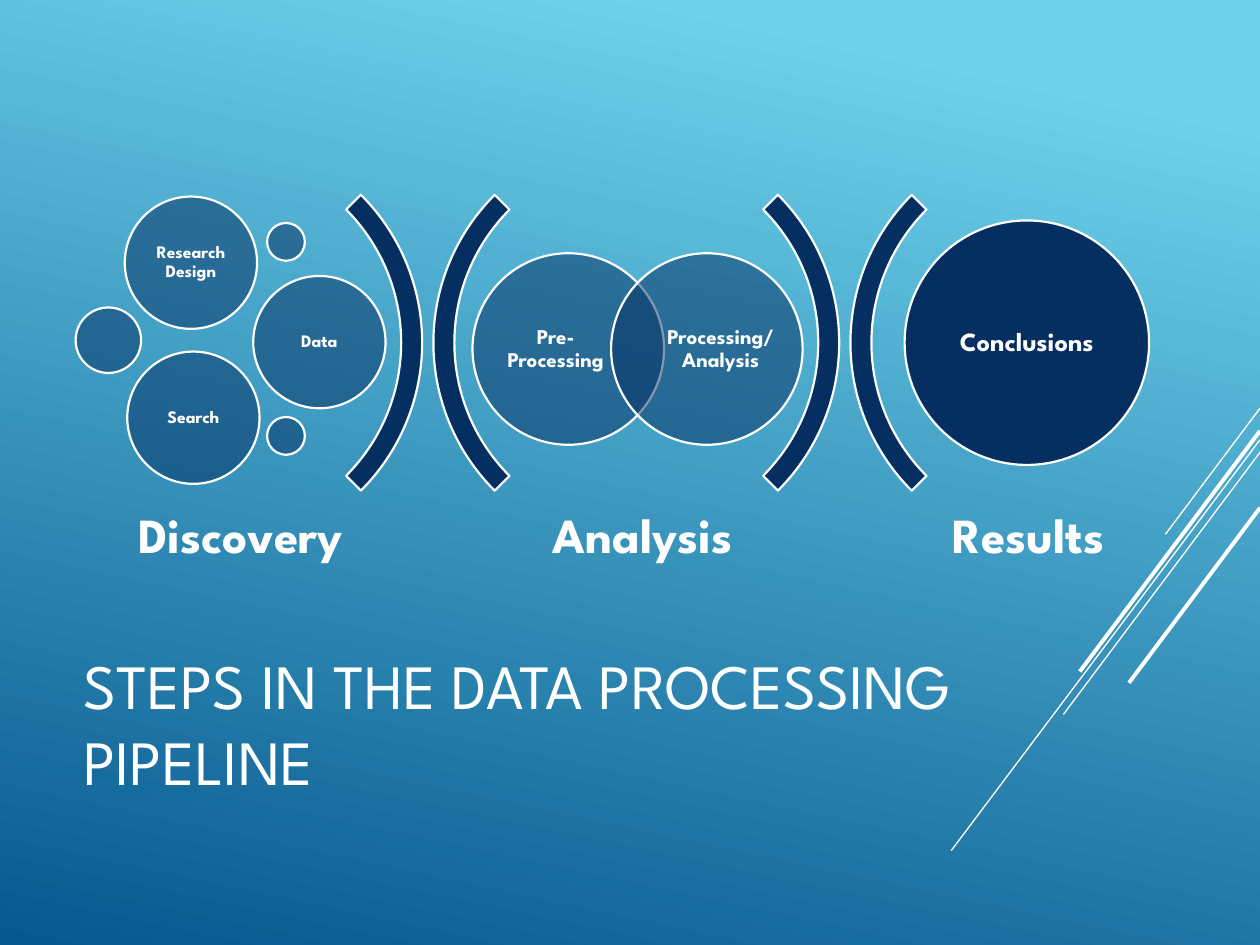
from pptx import Presentation, util as u
from pptx.dml.color import RGBColor
from pptx.enum import shapes, text
from pptx.oxml.ns import qn
from lxml import etree

FONT, WHITE, NAVY = "League Spartan", "FFFFFF", "052F61"
TITLE = "STEPS IN THE DATA PROCESSING PIPELINE"

# Stages: name, centre x
STAGES = [("Discovery", 1.91), ("Analysis", 5.1), ("Results", 8.16)]
STAGE_Y, STAGE_W, STAGE_H = 4.27, 2.52, 0.66

# Brackets: left edge, rotation
ARCS = [(0.03, 90), (3.44, 270), (3.34, 90), (6.75, 270)]
ARC_TOP, ARC_SIZE = 1.06, 3.32

# Circles: left, top, diameter, opacity %, label
# Label: words, size, centre shift x, box width, box height, inset
STEP = (10, 0, 0.74, 0.74, 0.04)
CIRCLES = [
    (3.75, 2.01, 1.52, 50, ("Pre-Processing", 12, -0.1, 0.88, 1.16, 0)),
    (4.85, 2.01, 1.52, 50, ("Processing/Analysis", 12, 0.11, 0.88, 1.16, 0)),
    (0.99, 1.56, 1.05, 50, ("Research Design", *STEP)),
    (0.6, 2.44, 0.52, 50, None),
    (2.12, 1.77, 0.3, 50, None),
    (2.01, 2.19, 1.05, 50, ("Data", *STEP)),
    (2.12, 3.31, 0.3, 50, None),
    (1.01, 2.79, 1.05, 50, ("Search", *STEP)),
    (7.18, 1.75, 1.94, 100, ("Conclusions", 15, 0, 1.37, 1.37, 0.06)),
]

# Corner rays, all from the right edge: start y, end x, end y, width
RAYS = [(3.24, 9.25, 4.24, 0.75), (3.49, 7.55, 6.75, 0.75),
        (3.59, 8.44, 5.67, 0.75), (3.42, 8.57, 5.33, 2.25),
        (4.03, 8.96, 5.42, 2.25)]

prs = Presentation()
prs.slide_width, prs.slide_height = u.Inches(10), u.Inches(7.5)
slide = prs.slides.add_slide(prs.slide_layouts[5])


def rgb(code):
    return RGBColor.from_string(code)


def inch(*nums):
    return [u.Inches(n) for n in nums]


def write(frame, words, size, align, bold, inset, space):
    frame.word_wrap = True
    frame.auto_size = text.MSO_AUTO_SIZE.NONE
    frame.vertical_anchor = text.MSO_ANCHOR.MIDDLE
    (frame.margin_left, frame.margin_top,
     frame.margin_right, frame.margin_bottom) = inch(*inset)
    par = frame.paragraphs[0]
    par.text, par.alignment, par.line_spacing = words, align, space
    font = par.font
    font.name, font.size, font.bold = FONT, u.Pt(size), bold
    font.color.rgb = rgb(WHITE)


def label(words, size, mid_x, mid_y, wide, high, inset):
    box = slide.shapes.add_textbox(
        *inch(mid_x - wide / 2, mid_y - high / 2, wide, high))
    write(box.text_frame, words, size, text.PP_ALIGN.CENTER, True,
          [inset] * 4, 0.9)


def solid(kind, left, top, size, alpha=100):
    shape = slide.shapes.add_shape(kind, *inch(left, top, size, size))
    shape.shadow.inherit = False
    shape.fill.solid()
    shape.fill.fore_color.rgb = rgb(NAVY)
    if alpha < 100:
        tint = shape.fill._xPr.find(".//" + qn("a:srgbClr"))
        etree.SubElement(tint, qn("a:alpha"), val=str(alpha * 1000))
    shape.line.color.rgb = rgb(WHITE)
    shape.line.width = u.Pt(1.25)
    return shape


# Background
back = slide.background.fill
back.gradient()
back.gradient_angle = 360 - 102
for stop, (pos, code) in zip(back.gradient_stops,
                             [(0.1, "6ED2EB"), (1, "06588E")]):
    stop.position, stop.color.rgb = pos, rgb(code)

# Corner rays
for y1, x2, y2, width in RAYS:
    ray = slide.shapes.add_connector(shapes.MSO_CONNECTOR.STRAIGHT,
                                     *inch(10, y1, x2, y2))
    ray.line.color.rgb = rgb(WHITE)
    ray.line.width = u.Pt(width)
    etree.SubElement(ray._element.spPr, qn("a:effectLst"))

# Title
title = slide.shapes.title
title.left, title.top, title.width, title.height = inch(0.56, 4.91, 7.52, 1.65)
write(title.text_frame, TITLE, 36, text.PP_ALIGN.LEFT, False,
      [0.1, 0.05, 0.1, 0.05], 1.0)

# Brackets and stage names
for left, turn in ARCS:
    arc = solid(shapes.MSO_SHAPE.BLOCK_ARC, left, ARC_TOP, ARC_SIZE)
    arc.rotation = turn
    for i, value in enumerate((135, 189, 0.05)):
        arc.adjustments[i] = value
for name, mid in STAGES:
    label(name, 28, mid, STAGE_Y, STAGE_W, STAGE_H, 0.12)

# Circles with their labels
for left, top, size, alpha, note in CIRCLES:
    solid(shapes.MSO_SHAPE.OVAL, left, top, size, alpha)
    if note:
        words, points, shift, wide, high, inset = note
        label(words, points, left + size / 2 + shift, top + size / 2,
              wide, high, inset)

prs.save("out.pptx")
